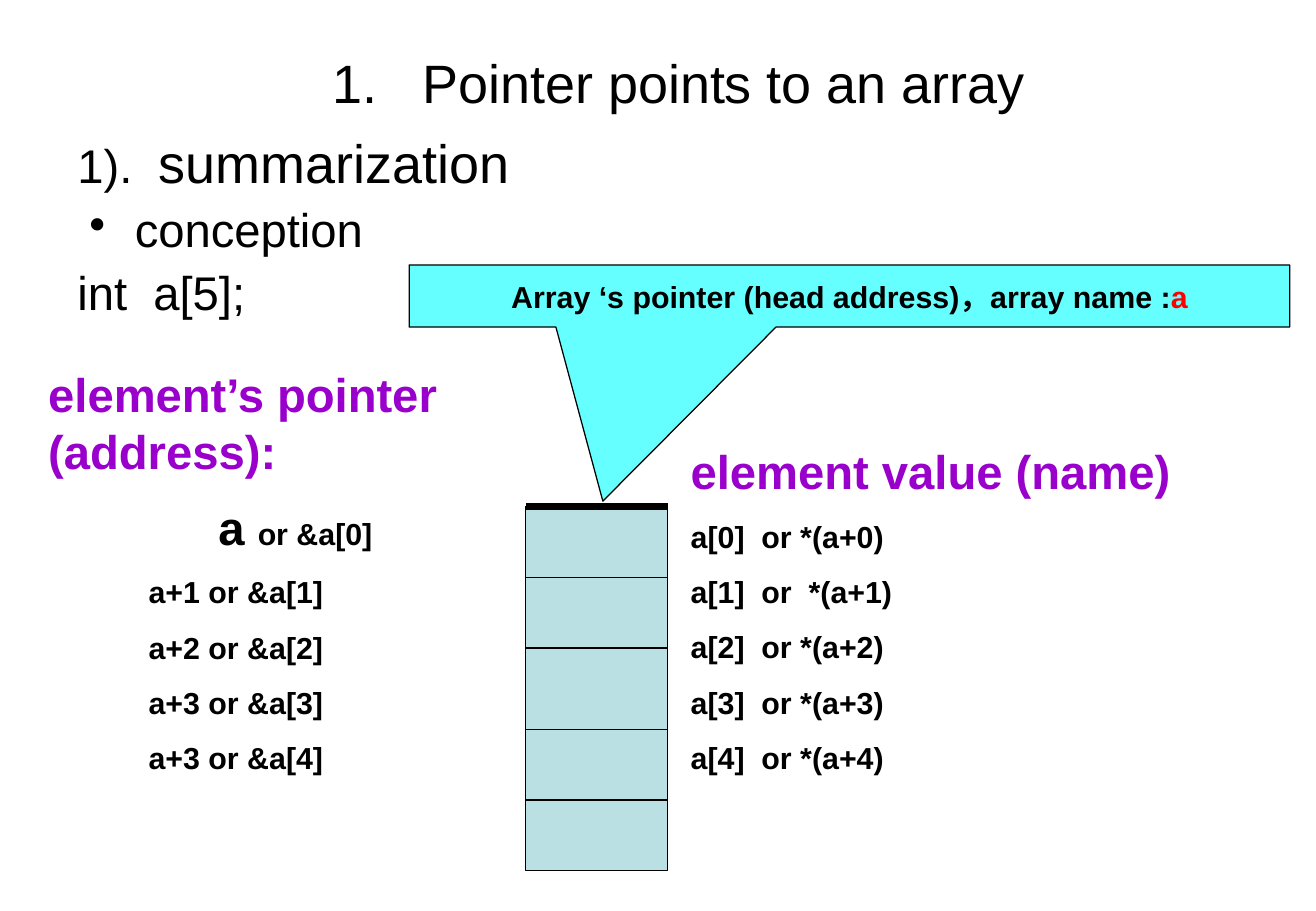
import itertools

import pptx
import pptx.dml.color
import pptx.enum.shapes
import pptx.enum.text
import pptx.oxml.ns
import pptx.util
from pptx.util import Cm, Pt

BLACK = pptx.dml.color.RGBColor(0x00, 0x00, 0x00)
PURPLE = pptx.dml.color.RGBColor(0x99, 0x00, 0xCC)
RED = pptx.dml.color.RGBColor(0xFF, 0x00, 0x00)
CYAN = pptx.dml.color.RGBColor(0x66, 0xFF, 0xFF)
PALE_TEAL = pptx.dml.color.RGBColor(0xBB, 0xE0, 0xE3)

TITLE = {"size": Pt(32), "bold": False}
BODY = {"size": Pt(28), "bold": False}
HEADING = {"size": Pt(28), "bold": True}
ENTRY = {"size": Pt(18), "bold": True}

CENTER = pptx.enum.text.PP_ALIGN.CENTER
MIDDLE = pptx.enum.text.MSO_ANCHOR.MIDDLE

CELL_LEFT, CELL_TOP, CELL_WIDTH = Cm(11), Cm(10.59), Cm(2.97)
CELL_HEIGHTS = [Cm(1.48), Cm(1.48), Cm(1.7), Cm(1.48), Cm(1.48)]


def set_values(target, values):
    """Set each attribute named in values on target."""
    for name, value in values.items():
        setattr(target, name, value)


def add_runs(paragraph, runs):
    """Add (text, font values, colour) runs to a paragraph."""
    for text, values, color in runs:
        run = paragraph.add_run()
        run.text = text
        set_values(run.font, {"name": "Arial", **values})
        run.font.color.rgb = color


def indent(paragraph, left, first=0, bullet=None):
    """Indent a paragraph and give it an optional bullet."""
    properties = paragraph._p.get_or_add_pPr()
    properties.set("marL", str(left))
    properties.set("indent", str(first))
    if bullet:
        mark = properties.makeelement(pptx.oxml.ns.qn("a:buChar"), {"char": bullet})
        properties.append(mark)


def add_paragraphs(frame, paragraphs):
    """Fill a text frame from (runs, paragraph values, indent values) items."""
    for number, (runs, values, indents) in enumerate(paragraphs):
        paragraph = frame.add_paragraph() if number else frame.paragraphs[0]
        if indents:
            indent(paragraph, **indents)
        set_values(paragraph, values)
        add_runs(paragraph, runs)


def add_text(shapes, box, paragraphs, frame_values=None):
    """Add a wrapping text box."""
    frame = shapes.add_textbox(*box).text_frame
    set_values(frame, {"word_wrap": True, **(frame_values or {})})
    add_paragraphs(frame, paragraphs)


def add_filled(shapes, kind, box, fill):
    """Add a flat filled shape with a thin black outline."""
    shape = shapes.add_shape(kind, *box)
    shape.shadow.inherit = False
    shape.fill.solid()
    shape.fill.fore_color.rgb = fill
    shape.line.color.rgb = BLACK
    shape.line.width = Pt(0.75)
    return shape


def add_rule(shapes, top, width):
    """Add a horizontal line across the memory cells."""
    rule = shapes.add_connector(
        pptx.enum.shapes.MSO_CONNECTOR.STRAIGHT,
        CELL_LEFT, top, CELL_LEFT + CELL_WIDTH, top)
    rule.line.color.rgb = BLACK
    rule.line.width = width
    properties = rule._element.spPr
    properties.append(properties.makeelement(pptx.oxml.ns.qn("a:effectLst"), {}))


def add_memory(shapes):
    """Draw the array as a column of cells with a heavy top edge."""
    cells = shapes.add_group_shape().shapes
    box = (CELL_LEFT, CELL_TOP, CELL_WIDTH, sum(CELL_HEIGHTS))
    add_filled(cells, pptx.enum.shapes.MSO_SHAPE.RECTANGLE, box, PALE_TEAL)
    for offset in itertools.accumulate(CELL_HEIGHTS[:-1]):
        add_rule(cells, CELL_TOP + offset, Pt(0.75))


def add_callout(shapes):
    """Add the callout that points at the head of the array."""
    box = (Cm(8.56), Cm(5.54), Cm(18.42), Cm(1.3))
    kind = pptx.enum.shapes.MSO_SHAPE.RECTANGULAR_CALLOUT
    callout = add_filled(shapes, kind, box, CYAN)
    callout.adjustments[0] = -0.28
    callout.adjustments[1] = 3.3
    set_values(callout.text_frame, {"word_wrap": False, "vertical_anchor": MIDDLE})
    runs = [("Array ‘s pointer (head address)，array name :", ENTRY, BLACK),
            ("a", ENTRY, RED)]
    add_paragraphs(callout.text_frame, [(runs, {"alignment": CENTER}, None)])


def add_column(shapes, box, heading, entries):
    """Add a purple heading with spaced entries given as (runs, left indent)."""
    spaced = [(runs, {"space_before": Pt(11.2)}, {"left": left})
              for runs, left in entries]
    add_text(shapes, box, [([(heading, HEADING, PURPLE)], {}, None)] + spaced)


def main():
    """Build and save the slide."""
    deck = pptx.Presentation()
    set_values(deck, {"slide_width": Cm(27.53), "slide_height": Cm(19.05)})
    shapes = deck.slides.add_slide(deck.slide_layouts[6]).shapes

    add_text(shapes, (Cm(2.06), Cm(1.07), Cm(24.3), Cm(1.27)),
             [([("1.   Pointer points to an array", TITLE, BLACK)],
               {"alignment": CENTER}, None)],
             {"vertical_anchor": MIDDLE})

    tight = {"line_spacing": 0.9}
    spaced = {**tight, "space_before": Pt(7)}
    add_text(shapes, (Cm(1.37), Cm(2.74), Cm(12.85), Cm(6.15)), [
        ([("1).  ", BODY, BLACK), ("summarization", TITLE, BLACK)], tight, None),
        ([("conception", BODY, BLACK)], spaced,
         {"left": Cm(1.2), "first": Cm(-0.95), "bullet": "•"}),
        ([("int  a[5];", BODY, BLACK)], spaced, None),
    ])

    pointers = ["a+1 or &a[1]", "a+2 or &a[2]", "a+3 or &a[3]", "a+3 or &a[4]"]
    head = [("a ", HEADING, BLACK), ("or &a[0]", ENTRY, BLACK)]
    add_column(shapes, (Cm(0.76), Cm(7.52), Cm(10.19), Cm(8.86)),
               "element’s pointer (address):",
               [(head, Cm(3.56))]
               + [([(text, ENTRY, BLACK)], Cm(2.1)) for text in pointers])

    add_memory(shapes)

    values = ["a[0]  or *(a+0)", "a[1]  or  *(a+1)", "a[2]  or *(a+2)",
              "a[3]  or *(a+3)", "a[4]  or *(a+4)"]
    add_column(shapes, (Cm(14.2), Cm(9.12), Cm(11.91), Cm(7.24)),
               "element value (name)",
               [([(text, ENTRY, BLACK)], 0) for text in values])

    add_rule(shapes, CELL_TOP, Pt(4.5))
    add_callout(shapes)
    deck.save("out.pptx")


if __name__ == "__main__":
    main()
